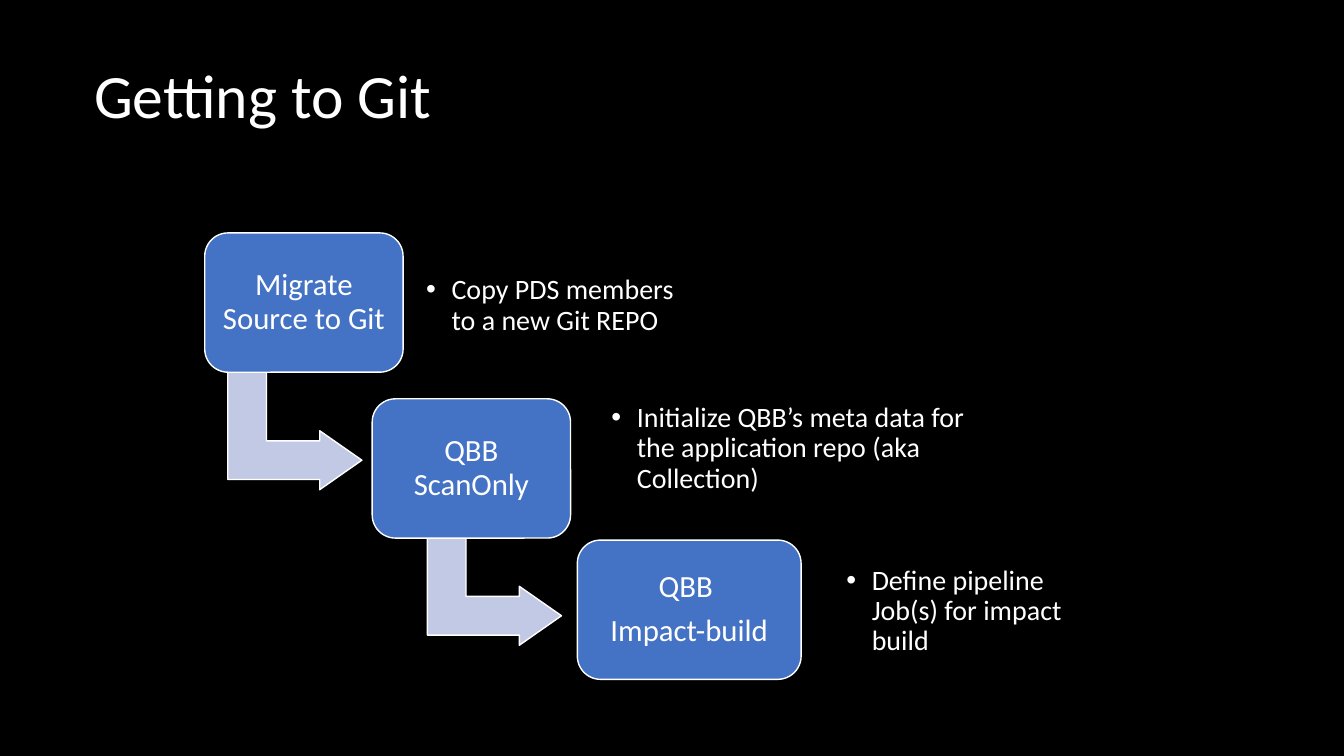
import pptx
import pptx.util
import pptx.dml.color
import pptx.enum.shapes
import pptx.enum.text
import lxml.etree

Cm = pptx.util.Cm
Pt = pptx.util.Pt
Shape = pptx.enum.shapes.MSO_SHAPE
Align = pptx.enum.text.PP_ALIGN

WHITE, BLACK, BLUE, PALE = "FFFFFF", "000000", "4472C4", "C1C9E4"

STEPS = [
    dict(box=(5.16, 5.87, 5, 3.51), label="Migrate Source to Git",
         note="Copy PDS members to a new Git REPO",
         place=(5.38, 0.43, 7.29), turn=(0.58, 3.5)),
    dict(box=(9.38, 10.05, 5, 3.51), label="QBB ScanOnly",
         note="Initialize QBB’s meta data for the application repo (aka Collection)",
         place=(5.83, -0.15, 9.3), turn=(1.39, 3.24)),
    dict(box=(14.55, 13.61, 5.64, 3.51), label="QBB \nImpact-build",
         note="Define pipeline Job(s) for impact build",
         place=(6.58, 0.39, 6.38), turn=None),
]


def color(code):
    return pptx.dml.color.RGBColor.from_string(code)


def mark(para):
    props = para._p.get_or_add_pPr()
    props.set("marL", str(Cm(0.64)))
    props.set("indent", str(-Cm(0.64)))
    for tag, key, value in (("a:buFont", "typeface", "Arial"), ("a:buChar", "char", "•")):
        lxml.etree.SubElement(props, pptx.oxml.ns.qn(tag)).set(key, value)


def write(shape, text, size=20, align=Align.LEFT, after=0, inset=0.25, bullet=False):
    frame = shape.text_frame
    frame.word_wrap = True
    frame.auto_size = pptx.enum.text.MSO_AUTO_SIZE.NONE
    frame.vertical_anchor = pptx.enum.text.MSO_ANCHOR.MIDDLE
    frame.margin_left = frame.margin_right = Cm(inset)
    frame.margin_top = frame.margin_bottom = Cm(inset)
    frame.text = text
    for para in frame.paragraphs:
        para.alignment = align
        para.line_spacing = 0.9
        para.space_after = Pt(after)
        if bullet:
            mark(para)
        para.font.name = "Calibri"
        para.font.size = Pt(size)
        para.font.color.rgb = color(WHITE)


def draw(slide, kind, box, fill):
    shape = slide.shapes.add_shape(kind, *map(Cm, box))
    shape.shadow.inherit = False
    shape.fill.solid()
    shape.fill.fore_color.rgb = color(fill)
    shape.line.color.rgb = color(WHITE)
    shape.line.width = Pt(1)
    return shape


def add_title(slide, box, text):
    title = slide.shapes.title
    title.left, title.top, title.width, title.height = map(Cm, box)
    write(title, text, size=44)


def add_turn(slide, left, top, wide=3.38, high=2.97):
    shift = (wide - high) / 2
    arrow = draw(slide, Shape.BENT_UP_ARROW,
                 (left + shift, top - shift, high, wide), PALE)
    arrow.rotation = 90
    for i, value in enumerate((0.328, 0.25, 0.358)):
        arrow.adjustments[i] = value


def add_step(slide, box, label, note, place, turn):
    left, top = box[:2]
    if turn:
        add_turn(slide, left + turn[0], top + turn[1])
    card = draw(slide, Shape.ROUNDED_RECTANGLE, box, BLUE)
    card.adjustments[0] = 0.167
    write(card, label, size=22, align=Align.CENTER, after=7.7, inset=0.23)
    right, down, width = place
    side = slide.shapes.add_textbox(Cm(left + right), Cm(top + down), Cm(width), Cm(2.82))
    write(side, note, after=3, inset=0.2, bullet=True)


def main():
    deck = pptx.Presentation()
    deck.slide_width, deck.slide_height = Cm(33.87), Cm(19.05)
    slide = deck.slides.add_slide(deck.slide_layouts[5])
    slide.background.fill.solid()
    slide.background.fill.fore_color.rgb = color(BLACK)
    add_title(slide, (2.12, 0.64, 29.21, 3.68), "Getting to Git")
    for step in STEPS:
        add_step(slide, **step)
    deck.save("out.pptx")


if __name__ == "__main__":
    main()
